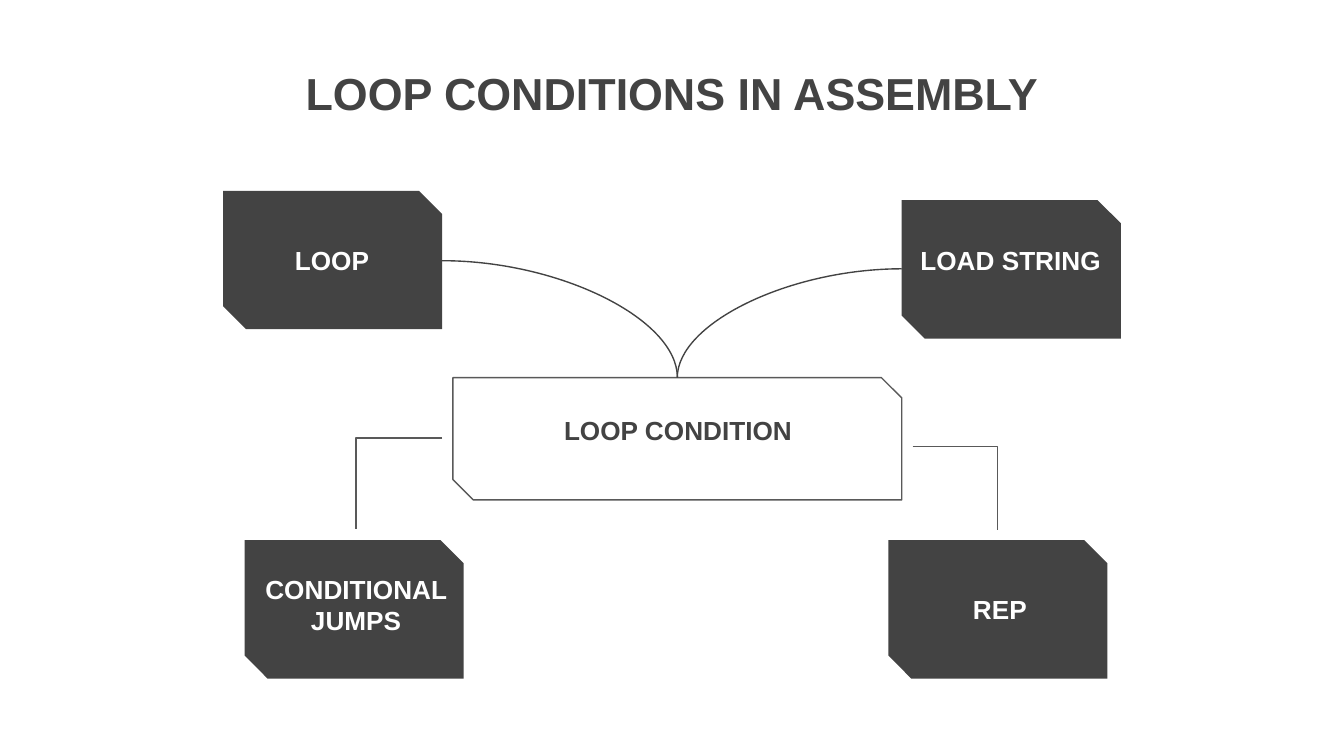
from lxml.etree import SubElement
from pptx import Presentation
from pptx.dml.color import RGBColor
from pptx.enum.shapes import MSO_CONNECTOR, MSO_SHAPE
from pptx.enum.text import MSO_ANCHOR, PP_ALIGN
from pptx.oxml.ns import qn
from pptx.util import Inches, Pt

RIGHT_SITE, LEFT_SITE, TOP_SITE = 0, 2, 3
CARD_WIDTH, CARD_HEIGHT = 1.63, 1.03
LABEL_WIDTH, LABEL_HEIGHT = 1.56, 0.43


def color(value):
    return RGBColor.from_string(value)


def write(box, text, size=14, ink="FFFFFF", anchor=MSO_ANCHOR.BOTTOM):
    frame = box.text_frame
    frame.word_wrap = True
    frame.vertical_anchor = anchor
    frame.margin_left = frame.margin_right = Inches(0.1)
    frame.margin_top = frame.margin_bottom = Inches(0.1)
    para = frame.paragraphs[0]
    para.alignment = PP_ALIGN.CENTER
    span = para.add_run()
    span.text = text
    span.font.name = "Arial"
    span.font.size = Pt(size)
    span.font.bold = True
    span.font.color.rgb = color(ink)


class Diagram:
    dark = "434343"
    outline = "595959"
    line_width = Pt(0.75)

    def __init__(self, page):
        self.page = page

    def label(self, text, left, top, width=LABEL_WIDTH, height=LABEL_HEIGHT, **style):
        box = self.page.shapes.add_textbox(
            Inches(left), Inches(top), Inches(width), Inches(height))
        write(box, text, **style)

    def card(self, left, top, width=CARD_WIDTH, height=CARD_HEIGHT, filled=True):
        shape = self.page.shapes.add_shape(
            MSO_SHAPE.SNIP_2_DIAG_RECTANGLE,
            Inches(left), Inches(top), Inches(width), Inches(height))
        shape.shadow.inherit = False
        if filled:
            shape.fill.solid()
            shape.fill.fore_color.rgb = color(self.dark)
            shape.line.fill.background()
        else:
            shape.fill.background()
            shape.line.color.rgb = color(self.outline)
            shape.line.width = self.line_width
        return shape

    def connector(self, kind, start, end, ink):
        line = self.page.shapes.add_connector(
            kind, *(Inches(value) for value in (*start, *end)))
        line.line.color.rgb = color(ink)
        line.line.width = self.line_width
        SubElement(line._element.spPr, qn("a:effectLst"))
        return line

    def curve(self, source, source_site, target, start, end):
        line = self.connector(MSO_CONNECTOR.CURVE, start, end, self.dark)
        line._element.spPr.find(qn("a:prstGeom")).set("prst", "curvedConnector2")
        line.begin_connect(source, source_site)
        line.end_connect(target, TOP_SITE)
        line.begin_x, line.begin_y = (Inches(value) for value in start)
        line.end_x, line.end_y = (Inches(value) for value in end)

    def elbow(self, start, end):
        line = self.connector(MSO_CONNECTOR.ELBOW, start, end, self.outline)
        geometry = line._element.spPr.find(qn("a:prstGeom"))
        guides = geometry.find(qn("a:avLst"))
        if guides is None:
            guides = SubElement(geometry, qn("a:avLst"))
        SubElement(guides, qn("a:gd"), name="adj1", fmla="val 100000")


def main():
    deck = Presentation()
    deck.slide_width = Inches(10)
    deck.slide_height = deck.slide_width * 9 // 16
    diagram = Diagram(deck.slides.add_slide(deck.slide_layouts[6]))

    diagram.label("LOOP CONDITIONS IN ASSEMBLY", 2.15, 0.39, 5.7, 1.03,
                  size=24, ink=diagram.dark, anchor=MSO_ANCHOR.TOP)

    center = diagram.card(3.37, 2.81, 3.34, 0.91, filled=False)
    diagram.label("LOOP CONDITION", 3.87, 2.99, 2.35, ink=diagram.dark)

    cards = {}
    for text, left, top, label_left, label_top in (
        ("LOOP", 1.66, 1.42, 1.69, 1.72),
        ("LOAD STRING", 6.71, 1.49, 6.74, 1.72),
        ("CONDITIONAL JUMPS", 1.82, 4.02, 1.87, 4.4),
        ("REP", 6.61, 4.02, 6.66, 4.32),
    ):
        cards[text] = diagram.card(left, top)
        diagram.label(text, label_left, label_top)

    junction = (5.04, 2.81)
    diagram.curve(cards["LOOP"], RIGHT_SITE, center, (3.29, 1.94), junction)
    diagram.curve(cards["LOAD STRING"], LEFT_SITE, center, (6.71, 2), junction)
    diagram.elbow((3.29, 3.26), (2.65, 3.94))
    diagram.elbow((6.79, 3.32), (7.42, 3.94))

    deck.save("out.pptx")


if __name__ == "__main__":
    main()
